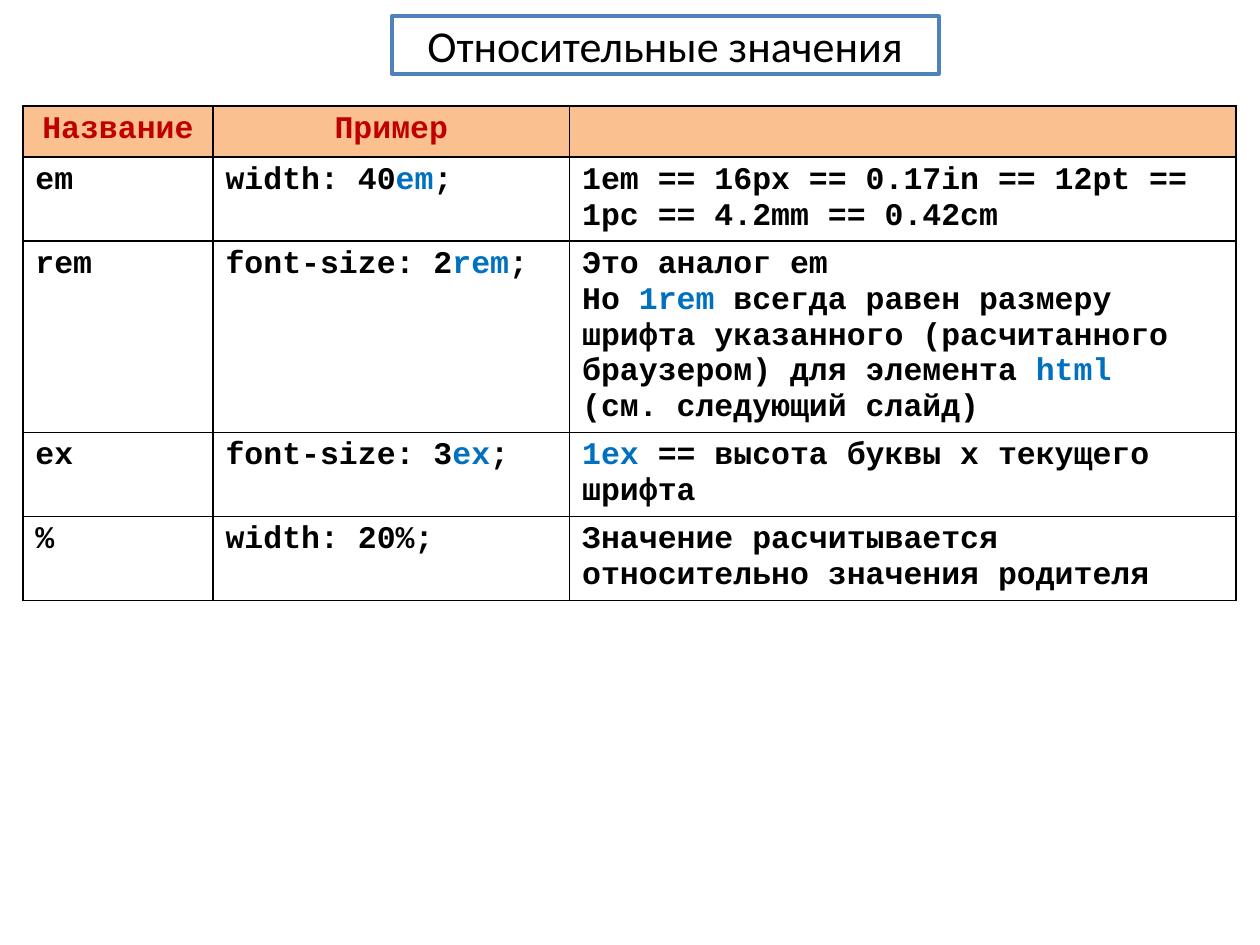
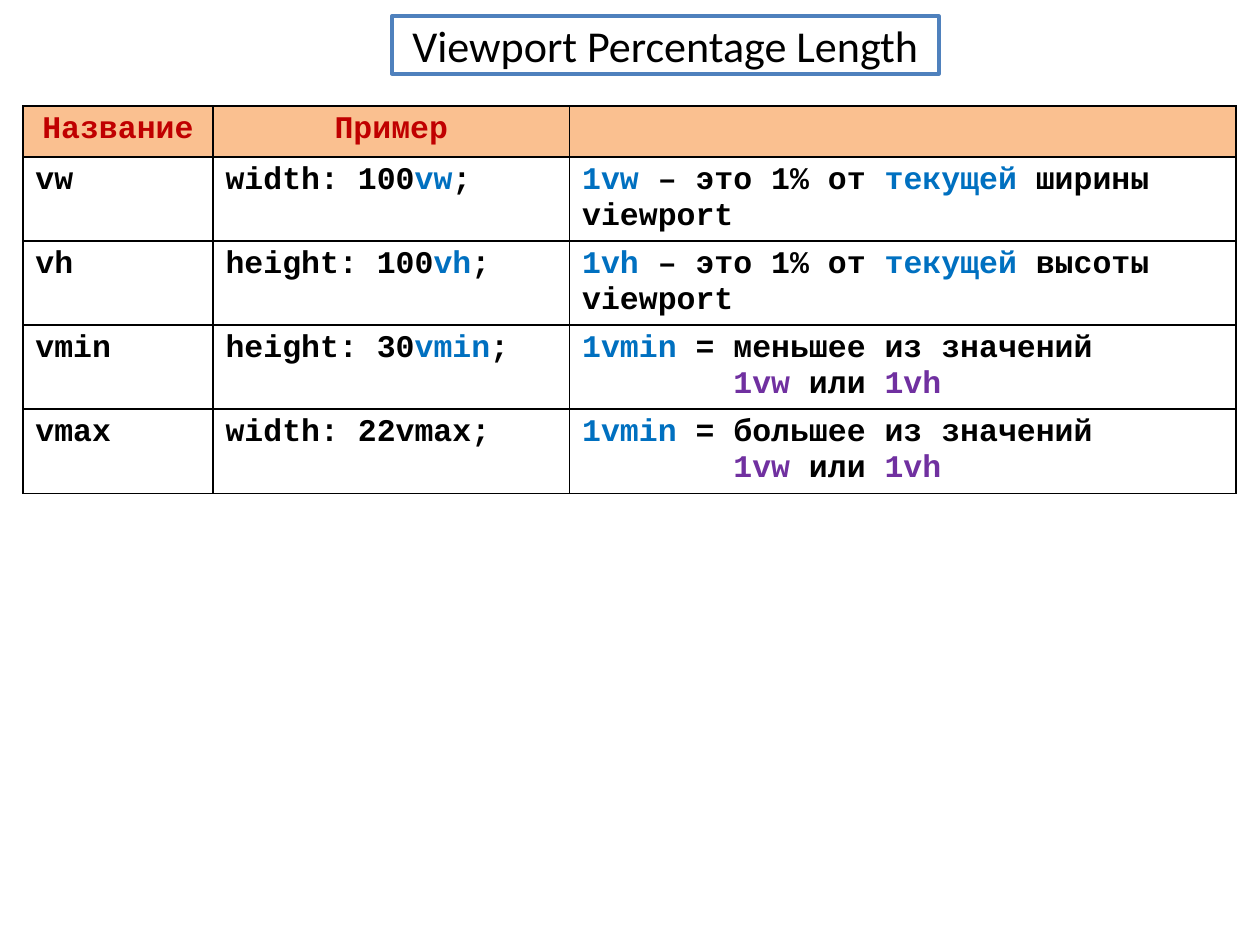
from lxml import etree
from pptx import Presentation
from pptx.dml.color import RGBColor
from pptx.enum import shapes, text
from pptx.oxml import ns
from pptx.util import Pt

COLORS = {
    "ink": "000000", "unit": "0070C0", "limit": "7030A0",
    "heading": "C00000", "header": "FAC090",
    "paper": "FFFFFF", "frame": "4F81BD",
}
CODE_FONT, TITLE_FONT = "Courier New", "Calibri"


def unit(words):
    return words, "unit"


def limit(words):
    return words, "limit"


# Content: a cell is a list of paragraphs, a paragraph a list of runs.
# A plain string is a run in ink; INDENT opens an indented paragraph.
INDENT = object()
LIMITS = [INDENT, limit("1vw "), "или ", limit("1vh")]
HEADINGS = ["Название", "Пример", ""]

SLIDES = [
    {
        "title": "Относительные значения",
        "table_height": 296,
        "rows": [
            ("em", ["width: 40", unit("em"), ";"],
             [["1em == 16px == 0.17in == 12pt == 1pc == 4.2mm == 0.42cm"]]),
            ("rem", ["font-size: 2", unit("rem"), ";"],
             [["Это аналог em"],
              ["Но ", unit("1rem "),
               "всегда равен размеру шрифта указанного "
               "(расчитанного браузером) для элемента ", unit("html")],
              ["(см. следующий слайд)"]]),
            ("ex", ["font-size: 3", unit("ex"), ";"],
             [[unit("1ex"), " == высота буквы x текущего шрифта"]]),
            ("%", ["width: 20%;"],
             [["Значение расчитывается относительно значения родителя"]]),
        ],
    },
    {
        "title": "Viewport Percentage Length",
        "table_height": 231,
        "rows": [
            ("vw", ["width: 100", unit("vw"), ";"],
             [[unit("1vw"), " – это 1% от ", unit("текущей "), "ширины viewport"]]),
            ("vh", ["height: 100", unit("vh"), ";"],
             [[unit("1vh"), " – это 1% от ", unit("текущей "), "высоты viewport"]]),
            ("vmin", ["height: 30", unit("vmin"), ";"],
             [[unit("1vmin"), " = меньшее из значений"], LIMITS]),
            ("vmax", ["width: 22vmax;"],
             [[unit("1vmin"), " = большее из значений"], LIMITS]),
        ],
    },
]

# Layout, in points
SLIDE_SIZE = (720, 540)
TITLE_BOX = (224, 9.2, 312.5, 33)
TABLE_LEFT, TABLE_TOP = 13, 60.5
COLUMN_WIDTHS = (108.7, 203.8, 380.9)
ROW_HEIGHT = 29.2
CODE_SIZE, TITLE_SIZE = 18, 25.2
LIMITS_INDENT = 86.4  # eight code characters


def rgb(name):
    return RGBColor.from_string(COLORS[name])


def add_run(paragraph, words, color, font, size, bold=False):
    run = paragraph.add_run()
    run.text = words
    run.font.name = font
    run.font.size = Pt(size)
    run.font.bold = bold
    run.font.color.rgb = rgb(color)


def add_borders(cell):
    props = cell._tc.get_or_add_tcPr()
    for position, side in enumerate(("lnL", "lnR", "lnT", "lnB")):
        line = etree.Element(ns.qn("a:" + side), w=str(Pt(1)))
        fill = etree.SubElement(line, ns.qn("a:solidFill"))
        etree.SubElement(fill, ns.qn("a:srgbClr"), val=COLORS["ink"])
        props.insert(position, line)


def fill_cell(cell, paragraphs, color="ink", align=None):
    for index, runs in enumerate(paragraphs):
        frame = cell.text_frame
        paragraph = frame.add_paragraph() if index else frame.paragraphs[0]
        paragraph.alignment = align
        for run in runs:
            if run is INDENT:
                props = paragraph._p.get_or_add_pPr()
                props.set("marL", str(Pt(LIMITS_INDENT)))
                props.set("indent", "0")
                continue
            words, run_color = (run, color) if isinstance(run, str) else run
            add_run(paragraph, words, run_color, CODE_FONT, CODE_SIZE, bold=True)


def add_units_table(slide, rows, height):
    holder = slide.shapes.add_table(
        len(rows) + 1, len(HEADINGS), Pt(TABLE_LEFT), Pt(TABLE_TOP),
        Pt(sum(COLUMN_WIDTHS)), Pt(height))
    table = holder.table
    table.first_row = table.horz_banding = False
    for column, width in zip(table.columns, COLUMN_WIDTHS):
        column.width = Pt(width)
    for row in table.rows:
        row.height = Pt(ROW_HEIGHT)
    holder.height = Pt(height)

    # Header row
    for column, heading in enumerate(HEADINGS):
        cell = table.cell(0, column)
        cell.fill.solid()
        cell.fill.fore_color.rgb = rgb("header")
        add_borders(cell)
        if heading:
            fill_cell(cell, [[heading]], "heading", text.PP_ALIGN.CENTER)

    # Unit rows
    for row, (name, example, meaning) in enumerate(rows, 1):
        for column, paragraphs in enumerate(([[name]], [example], meaning)):
            cell = table.cell(row, column)
            cell.fill.background()
            add_borders(cell)
            fill_cell(cell, paragraphs)


def add_title(slide, words):
    title = slide.shapes.add_shape(
        shapes.MSO_SHAPE.RECTANGLE, *map(Pt, TITLE_BOX))
    title.shadow.inherit = False
    title.fill.solid()
    title.fill.fore_color.rgb = rgb("paper")
    title.line.color.rgb = rgb("frame")
    title.line.width = Pt(2)
    frame = title.text_frame
    frame.word_wrap = True
    frame.vertical_anchor = text.MSO_ANCHOR.MIDDLE
    frame.paragraphs[0].alignment = text.PP_ALIGN.CENTER
    add_run(frame.paragraphs[0], words, "ink", TITLE_FONT, TITLE_SIZE)


def main():
    deck = Presentation()
    deck.slide_width, deck.slide_height = map(Pt, SLIDE_SIZE)
    for content in SLIDES:
        slide = deck.slides.add_slide(deck.slide_layouts[6])
        add_units_table(slide, content["rows"], content["table_height"])
        add_title(slide, content["title"])
    deck.save("out.pptx")


if __name__ == "__main__":
    main()
